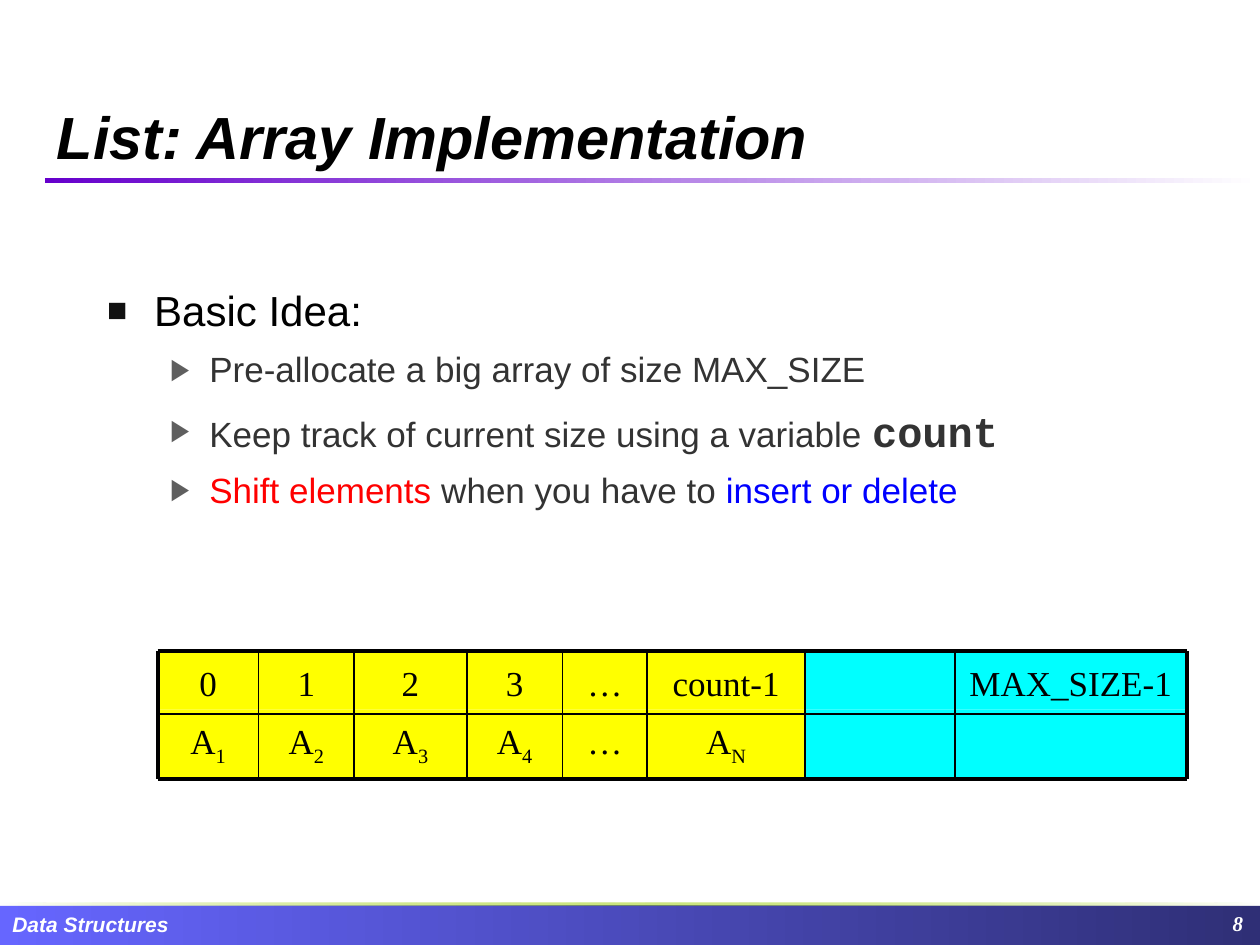
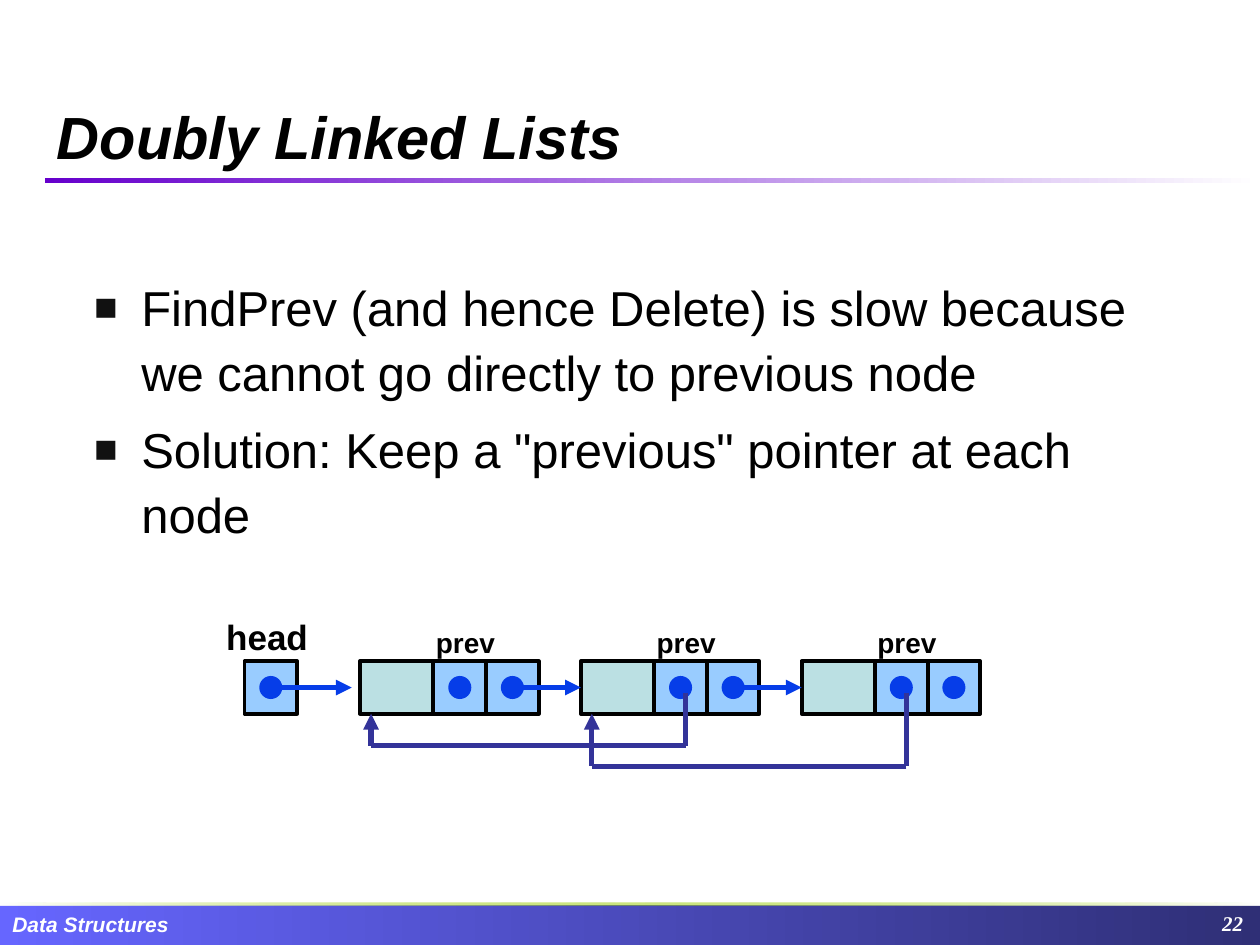
from dataclasses import dataclass
from itertools import accumulate, pairwise

from lxml import etree
from pptx import Presentation
from pptx.dml.color import RGBColor
from pptx.enum import shapes, text
from pptx.oxml.ns import qn
from pptx.util import Cm, Pt


@dataclass(frozen=True)
class Theme:
    sans: str = "Arial"
    serif: str = "Times New Roman"
    mono: str = "Courier New"
    black: str = "000000"
    white: str = "FFFFFF"
    band_start: str = "6666FF"
    band_end: str = "2F2F76"
    rule: str = "6600CC"
    hairline: str = "99CC00"
    detail: str = "333333"
    square: str = "111111"
    triangle: str = "5F5F5F"
    shift: str = "FF0000"
    change: str = "0000FF"
    used: str = "FFFF00"
    spare: str = "00FFFF"
    data: str = "BBE0E3"
    pointer: str = "99CCFF"
    next_link: str = "063DE8"
    prev_link: str = "333399"
    title_size: int = 34
    lead_size: int = 28
    body_size: int = 24
    detail_size: int = 20
    label_size: int = 16
    footer_size: int = 12


THEME = Theme()


def style(font, size, color, name=THEME.sans, bold=False, italic=False):
    font.size, font.name, font.bold, font.italic = Pt(size), name, bold, italic
    font.color.rgb = RGBColor.from_string(color)


def add_xml(parent, tag, **attributes):
    child = etree.SubElement(parent, qn(tag))
    for key, value in attributes.items():
        child.set(key, str(value))
    return child


def add_color(parent, color, alpha=100):
    rgb = add_xml(parent, "a:srgbClr", val=color)
    if alpha < 100:
        add_xml(rgb, "a:alpha", val=alpha * 1000)


def add_box(slide, kind, box, fill=None, line=None, weight=1.0):
    shape = slide.shapes.add_shape(kind, *map(Cm, box))
    shape.shadow.inherit = False
    if fill:
        shape.fill.solid()
        shape.fill.fore_color.rgb = RGBColor.from_string(fill)
    if line:
        shape.line.color.rgb = RGBColor.from_string(line)
        shape.line.width = Pt(weight)
    else:
        shape.line.fill.background()
    return shape


def add_gradient(slide, box, stops):
    strip = add_box(slide, shapes.MSO_SHAPE.RECTANGLE, box)
    strip.fill.gradient()
    properties = strip._element.spPr
    properties.find(".//" + qn("a:lin")).set("ang", "0")
    stop_list = properties.find(".//" + qn("a:gsLst"))
    stop_list.clear()
    for position, color, alpha in stops:
        add_color(add_xml(stop_list, "a:gs", pos=position * 1000), color, alpha)


def add_text(slide, box, words, size, color, wrap=True, align=None, anchor=None, **look):
    frame = slide.shapes.add_textbox(*map(Cm, box)).text_frame
    frame.word_wrap = wrap
    frame.vertical_anchor = anchor or text.MSO_ANCHOR.TOP
    frame.text = words
    paragraph = frame.paragraphs[0]
    paragraph.alignment = align
    style(paragraph.runs[0].font, size, color, **look)


def add_line(slide, start, end, color, weight=3.0, arrow=None):
    link = slide.shapes.add_connector(
        shapes.MSO_CONNECTOR.STRAIGHT, *map(Cm, (*start, *end)))
    link.line.color.rgb = RGBColor.from_string(color)
    link.line.width = Pt(weight)
    if arrow:
        add_xml(link.line._get_or_add_ln(), arrow, type="triangle")
    add_xml(link._element.spPr, "a:effectLst")
    return link


def add_bullet(paragraph, level):
    paragraph.level = level
    margin, hanging, mark, color, percent = (
        (0.95, 0.95, "■", THEME.square, 80),
        (2.06, 0.79, "▶", THEME.triangle, 85))[level]
    properties = paragraph._p.get_or_add_pPr()
    properties.set("marL", str(Cm(margin)))
    properties.set("indent", str(-Cm(hanging)))
    add_color(add_xml(properties, "a:buClr"), color)
    add_xml(properties, "a:buSzPct", val=percent * 1000)
    add_xml(properties, "a:buFont", typeface=THEME.sans)
    add_xml(properties, "a:buChar", char=mark)


def add_points(slide, box, points):
    frame = slide.shapes.add_textbox(*map(Cm, box)).text_frame
    frame.word_wrap = True
    for index, (level, space, runs) in enumerate(points):
        paragraph = frame.add_paragraph() if index else frame.paragraphs[0]
        paragraph.line_spacing = 1.1
        if index:
            paragraph.space_before = Pt(space)
        add_bullet(paragraph, level)
        for words, size, color, *face in runs:
            run = paragraph.add_run()
            run.text = words
            style(run.font, size, color, *face)


def add_frame(slide, title, number):
    add_gradient(slide, (0, 18.24, 25.4, 0.81),
                 [(0, THEME.band_start, 100), (100, THEME.band_end, 100)])
    add_gradient(slide, (0.9, 3.59, 24.5, 0.1),
                 [(0, THEME.rule, 100), (100, THEME.white, 100)])
    add_gradient(slide, (0, 18.2, 25.4, 0.05),
                 [(0, THEME.white, 100), (50, THEME.hairline, 50), (100, THEME.white, 100)])
    emphasis = dict(bold=True, italic=True)
    add_text(slide, (0, 18.26, 7.9, 0.76), "Data Structures",
             THEME.footer_size, THEME.white, **emphasis)
    add_text(slide, (0.9, 0.31, 23.6, 3.28), title, THEME.title_size, THEME.black,
             anchor=text.MSO_ANCHOR.BOTTOM, **emphasis)
    add_text(slide, (18.81, 18.23, 6.5, 0.81), str(number), THEME.footer_size, THEME.white,
             align=text.PP_ALIGN.RIGHT, name=THEME.serif, **emphasis)


def add_array_cell(slide, box, entry, fill):
    cell = add_box(slide, shapes.MSO_SHAPE.RECTANGLE, box, fill)
    if not entry:
        return
    frame = cell.text_frame
    frame.vertical_anchor = text.MSO_ANCHOR.TOP
    frame.margin_top = Cm(0.2)
    frame.margin_left = frame.margin_right = Cm(0.2)
    paragraph = frame.paragraphs[0]
    paragraph.alignment = text.PP_ALIGN.CENTER
    parts = (entry[0], entry[1:]) if entry.startswith("A") else (entry,)
    for is_subscript, part in enumerate(parts):
        run = paragraph.add_run()
        run.text = part
        style(run.font, THEME.detail_size, THEME.black, THEME.serif)
        if is_subscript:
            run._r.get_or_add_rPr().set("baseline", "-25000")


def add_array(slide, left, top):
    widths = (2.03, 1.93, 2.27, 1.93, 1.71, 3.18, 3.02, 4.67)
    indexes = ("0", "1", "2", "3", "…", "count-1", "", "MAX_SIZE-1")
    elements = ("A1", "A2", "A3", "A4", "…", "AN", "", "")
    used_columns = 6
    index_height, element_height = 1.17, 1.4
    edges = list(accumulate(widths, initial=left))
    right, bottom = edges[-1], top + index_height + element_height
    rows = ((top, index_height, indexes), (top + index_height, element_height, elements))
    for y, height, entries in rows:
        for column, (x, width, entry) in enumerate(zip(edges, widths, entries)):
            fill = THEME.used if column < used_columns else THEME.spare
            add_array_cell(slide, (x, y, width, height), entry, fill)
    for x in edges:
        add_line(slide, (x, top), (x, bottom), THEME.black, 2.25 if x in (left, right) else 1)
    for y, weight in ((top, 2.25), (top + 1.27, 1), (bottom, 2.25)):
        add_line(slide, (left, y), (right, y), THEME.black, weight)


def add_linked_list(slide, left, top):
    cell, data_width, pitch, dot = 1.06, 1.48, 4.45, 0.43
    first_node = left + 2.33
    middle = top + cell / 2
    offset = 0.1

    def add_cell(x, width, fill):
        return add_box(slide, shapes.MSO_SHAPE.RECTANGLE, (x, top, width, cell),
                       fill, THEME.black, 2.25)

    def add_pointer(x):
        add_cell(x, cell, THEME.pointer)
        inset = (cell - dot) / 2
        add_box(slide, shapes.MSO_SHAPE.OVAL, (x + inset, top + inset, dot, dot),
                THEME.next_link, THEME.next_link)
        return x + cell / 2 + offset

    def add_next(start, end):
        return add_line(slide, (start, middle), (end, middle), THEME.next_link,
                        arrow="a:tailEnd")

    head_start = add_pointer(left)
    add_text(slide, (left - 0.62, top - 1.05, 2.16, 1.12), "head",
             THEME.detail_size, THEME.black, wrap=False, bold=True)
    add_next(head_start, first_node - 0.17)

    nodes = []
    for index in range(3):
        x = first_node + index * pitch
        data = add_cell(x, data_width, THEME.data)
        prev_start = add_pointer(x + data_width)
        next_start = add_pointer(x + data_width + cell)
        add_text(slide, (x + data_width - 0.2, top - 0.84, 1.7, 0.94), "prev",
                 THEME.label_size, THEME.black, wrap=False, bold=True)
        nodes.append((x, data, prev_start, next_start))

    for (before, after), drop in zip(pairwise(nodes), (0.64, 1.06)):
        before_x, _, _, next_start = before
        after_x, after_data, prev_start, _ = after
        add_next(next_start, after_x).end_connect(after_data, 1)
        landing = before_x + 0.22
        bottom = top + cell
        turn = bottom + drop
        add_line(slide, (prev_start, middle + offset), (prev_start, turn), THEME.prev_link)
        add_line(slide, (prev_start, turn), (landing, turn), THEME.prev_link)
        add_line(slide, (landing, bottom), (landing, turn), THEME.prev_link,
                 arrow="a:headEnd")


def build_array_slide(slide):
    add_frame(slide, "List: Array Implementation", 8)
    size, color = THEME.detail_size, THEME.detail
    add_points(slide, (1.91, 5.51, 21.59, 6.99), [
        (0, 0, [("Basic Idea:", THEME.body_size, THEME.black)]),
        (1, 5, [("Pre-allocate a big array of size MAX_SIZE", size, color)]),
        (1, 6, [("Keep track of current size using a variable ", size, color),
                ("count", THEME.body_size, color, THEME.mono, True)]),
        (1, 5, [("Shift elements", size, THEME.shift),
                (" when you have to ", size, color),
                ("insert or delete", size, THEME.change)]),
    ])
    add_array(slide, 3.18, 13.13)


def build_linked_slide(slide):
    add_frame(slide, "Doubly Linked Lists", 22)
    sentences = (
        "FindPrev (and hence Delete) is slow because we cannot go directly to previous node",
        'Solution: Keep a "previous" pointer at each node')
    add_points(slide, (1.65, 5.36, 22.22, 6.07),
               [(0, 7, [(sentence, THEME.lead_size, THEME.black)]) for sentence in sentences])
    add_linked_list(slide, 4.93, 13.33)


def main():
    deck = Presentation()
    deck.slide_width, deck.slide_height = Cm(25.4), Cm(19.05)
    blank = deck.slide_layouts[6]
    for build in (build_array_slide, build_linked_slide):
        build(deck.slides.add_slide(blank))
    deck.save("out.pptx")


if __name__ == "__main__":
    main()
